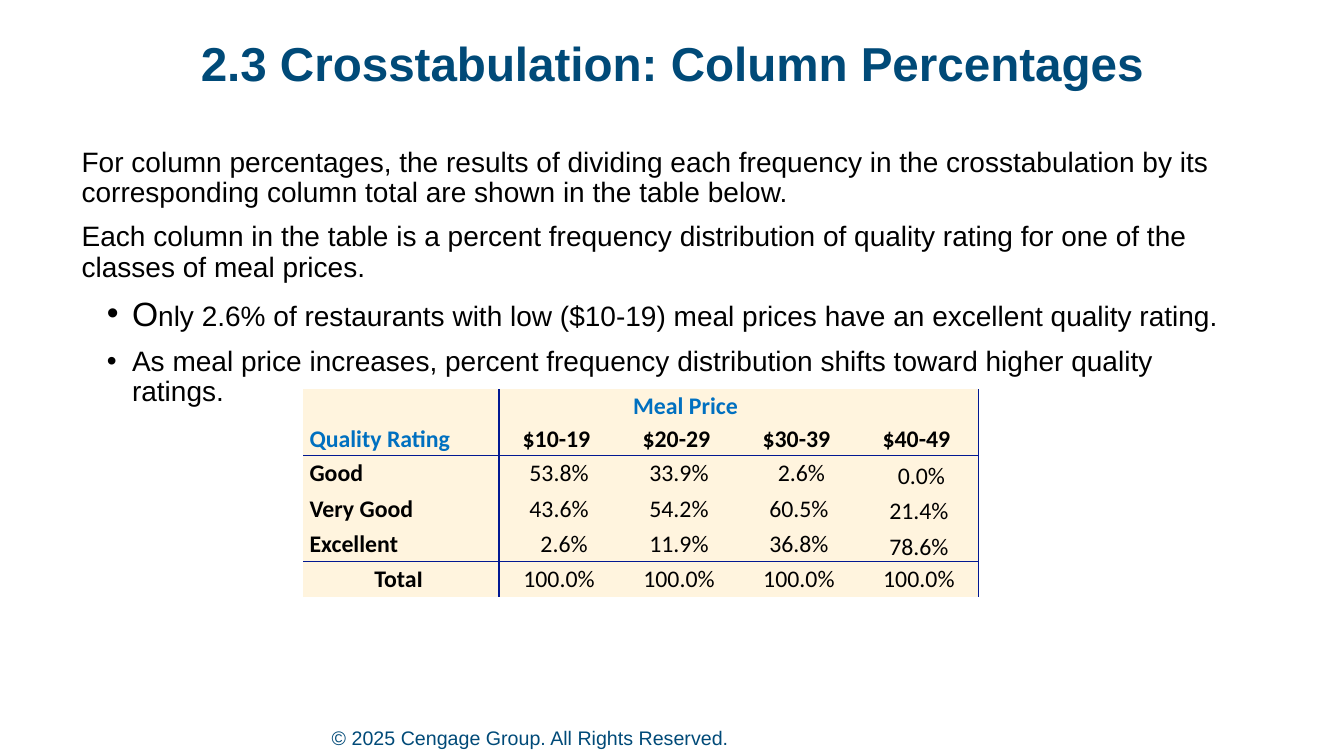
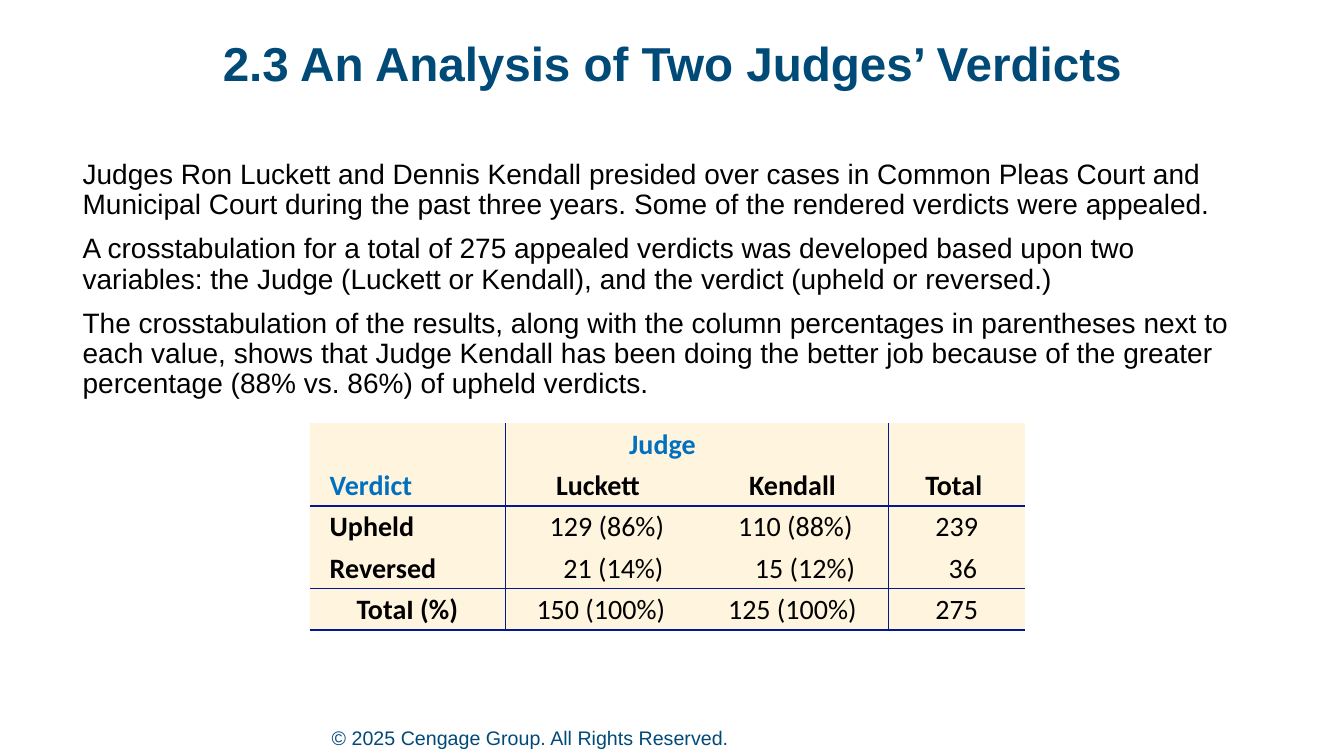
from lxml.etree import SubElement
from pptx import Presentation
from pptx.dml.color import RGBColor
from pptx.enum.text import MSO_ANCHOR, PP_ALIGN
from pptx.oxml.ns import qn
from pptx.util import Inches, Pt

# Shared look
HEX = {"title": "004A78", "text": "000000", "head": "0070C0",
       "fill": "FFF4DE", "rule": "011892"}
SANS, GRID = "Arial", "Calibri"
NOTE = "© 2025 Cengage Group. All Rights Reserved."
WIDE, HIGH = 133.3, 75  # slide size in grid columns and rows


def unit(count):
    """Length of a number of grid columns or rows."""
    return Inches(count / 10)


def add_run(para, text, size, hue, font=SANS, bold=False):
    run = para.add_run()
    run.text = text
    run.font.size, run.font.name, run.font.bold = Pt(size), font, bold
    run.font.color.rgb = RGBColor.from_string(HEX[hue])


def add_box(slide, left, top, width, height):
    frame = slide.shapes.add_textbox(*map(unit, (left, top, width, height))).text_frame
    frame.word_wrap = True
    frame.margin_left = frame.margin_right = 0
    frame.margin_top = frame.margin_bottom = 0
    return frame


# Title and footer
def add_frame(deck, title):
    slide = deck.slides.add_slide(deck.slide_layouts[6])
    foot = add_box(slide, 32.9, 71.9, 97.9, 2.9)
    foot.vertical_anchor = MSO_ANCHOR.BOTTOM
    foot.margin_bottom = unit(0.5)
    add_run(foot.paragraphs[0], NOTE, 14, "title")

    para = add_box(slide, 9.2, 4, 115, 7.4).paragraphs[0]
    para.alignment, para.line_spacing = PP_ALIGN.CENTER, 0.9
    add_run(para, title, 34, "title", bold=True)
    return slide


# Body text
def add_bullet(para):
    props = para._p.get_or_add_pPr()
    props.set("marL", str(unit(5)))
    props.set("indent", str(-unit(2.5)))
    SubElement(props, qn("a:buFont")).set("typeface", SANS)
    SubElement(props, qn("a:buChar")).set("char", "•")


def add_body(slide, left, top, height, items):
    """Each item is a bullet flag and a list of (text, size) runs."""
    frame = add_box(slide, left, top, 116, height)
    for num, (dot, runs) in enumerate(items):
        para = frame.add_paragraph() if num else frame.paragraphs[0]
        if dot:
            add_bullet(para)
        para.line_spacing = 0.9
        if num:
            para.space_before = Pt(10)
        for text, size in runs:
            add_run(para, text, size, "text")


# Tables
def add_edge(cell, side, ruled):
    line = SubElement(cell._tc.get_or_add_tcPr(), qn("a:ln" + side))
    line.set("w", str(Pt(1)))
    if ruled:
        fill = SubElement(line, qn("a:solidFill"))
        SubElement(fill, qn("a:srgbClr")).set("val", HEX["rule"])
    else:
        SubElement(line, qn("a:noFill"))


def add_grid(slide, left, top, cols, rows, data, size, label, pads, lows, downs, across):
    """pads: extra (left, right) insets; lows: cells set low;
    downs and across: numbers of the ruled column and row edges."""
    shape = slide.shapes.add_table(len(rows), len(cols), unit(left), unit(top),
                                   unit(sum(cols)), unit(sum(rows)))
    table = shape.table
    table.first_row = table.horz_banding = False
    for col, width in zip(table.columns, cols):
        col.width = unit(width)
    for row, height in zip(table.rows, rows):
        row.height = unit(height)

    for r, line in enumerate(data):
        for c, text in enumerate(line):
            cell = table.cell(r, c)
            for side, ruled in (("L", c in downs), ("R", c + 1 in downs),
                                ("T", r in across), ("B", r + 1 in across)):
                add_edge(cell, side, ruled)
            cell.fill.solid()
            cell.fill.fore_color.rgb = RGBColor.from_string(HEX["fill"])

            name = c == 0 and r < len(rows) - 1
            before, after = pads.get((r, c), (label if name else 0, 0))
            cell.margin_left, cell.margin_right = unit(0.1 + before), unit(0.1 + after)
            cell.margin_top, cell.margin_bottom = unit(0.1), 0
            cell.vertical_anchor = MSO_ANCHOR.BOTTOM if (r, c) in lows else MSO_ANCHOR.MIDDLE
            para = cell.text_frame.paragraphs[0]
            para.alignment = (PP_ALIGN.RIGHT if r == 0 else
                              PP_ALIGN.LEFT if name else PP_ALIGN.CENTER)
            if text:
                hue = "head" if r == 0 or (r, c) == (1, 0) else "text"
                add_run(para, text, size, hue, GRID, r < 2 or c == 0)


def add_meals(deck):
    slide = add_frame(deck, "2.3 Crosstabulation: Column Percentages")
    add_body(slide, 8.1, 14.7, 28.7, [
        (False, [("For column percentages, the results of dividing each frequency in the "
                  "crosstabulation by its corresponding column total are shown in the "
                  "table below.", 20)]),
        (False, [("Each column in the table is a percent frequency distribution of quality "
                  "rating for one of the classes of meal prices.", 20)]),
        (True, [("O", 24), ("nly 2.6% of restaurants with low ($10-19) meal prices have an "
                            "excellent quality rating.", 20)]),
        (True, [("As meal price increases, percent frequency distribution shifts toward "
                 "higher quality ratings.", 20)]),
    ])
    data = [
        ["", "", "Meal Price", "", ""],
        ["Quality Rating", "$10-19", "$20-29", "$30-39", "$40-49"],
        ["Good", "53.8%", "33.9%", "2.6%", "0.0%"],
        ["Very Good", "43.6%", "54.2%", "60.5%", "21.4%"],
        ["Excellent", "2.6%", "11.9%", "36.8%", "78.6%"],
        ["TotaI", "100.0%", "100.0%", "100.0%", "100.0%"],
    ]
    pads = {(1, c): (0, 0.5) for c in range(1, 5)}
    pads |= {(2, 3): (0.5, 0), (2, 4): (0.5, 0), (4, 1): (1, 0), (5, 0): (0, 0.5)}
    add_grid(slide, 30.1, 38.6, [19.4] + [11.9] * 4, [3.3] * 2 + [3.5] * 4, data, 17,
             label=0.5, pads=pads, lows={(r, 4) for r in range(2, 5)},
             downs={1, 5}, across={2, 5})


def add_courts(deck):
    slide = add_frame(deck, "2.3 An Analysis of Two Judges’ Verdicts")
    add_body(slide, 8.2, 15.9, 26.1, [
        (False, [("Judges Ron Luckett and Dennis Kendall presided over cases in Common Pleas "
                  "Court and Municipal Court during the past three years. Some of the "
                  "rendered verdicts were appealed.", 20)]),
        (False, [("A crosstabulation for a total of 275 appealed verdicts was developed based "
                  "upon two variables: the Judge (Luckett or Kendall), and the verdict "
                  "(upheld or reversed.)", 20)]),
        (False, [("The crosstabulation of the results, along with the column percentages in "
                  "parentheses next to each value, shows that Judge Kendall has been doing "
                  "the better job because of the greater percentage (88% vs. 86%) of upheld "
                  "verdicts.", 20)]),
    ])
    data = [
        ["", "Judge", "", ""],
        ["Verdict", "Luckett", "Kendall", "Total"],
        ["Upheld", "129 (86%)", "110 (88%)", "239"],
        ["Reversed", "21 (14%)", "15 (12%)", "36"],
        ["TotaI (%)", "150 (100%)", "125 (100%)", "275"],
    ]
    pads = {(1, 1): (0, 0.6), (1, 3): (0, 0.6), (2, 1): (1.2, 0), (2, 2): (0.6, 0),
            (3, 1): (2.5, 0), (3, 2): (2.5, 0), (3, 3): (1.2, 0)}
    add_grid(slide, 30.7, 42, [19.4, 19, 19, 13.6], [4.1] * 5, data, 20,
             label=1.9, pads=pads, lows=set(), downs={1, 3}, across={2, 4, 5})


def main():
    deck = Presentation()
    deck.slide_width, deck.slide_height = unit(WIDE), unit(HIGH)
    add_meals(deck)
    add_courts(deck)
    deck.save("out.pptx")


if __name__ == "__main__":
    main()
